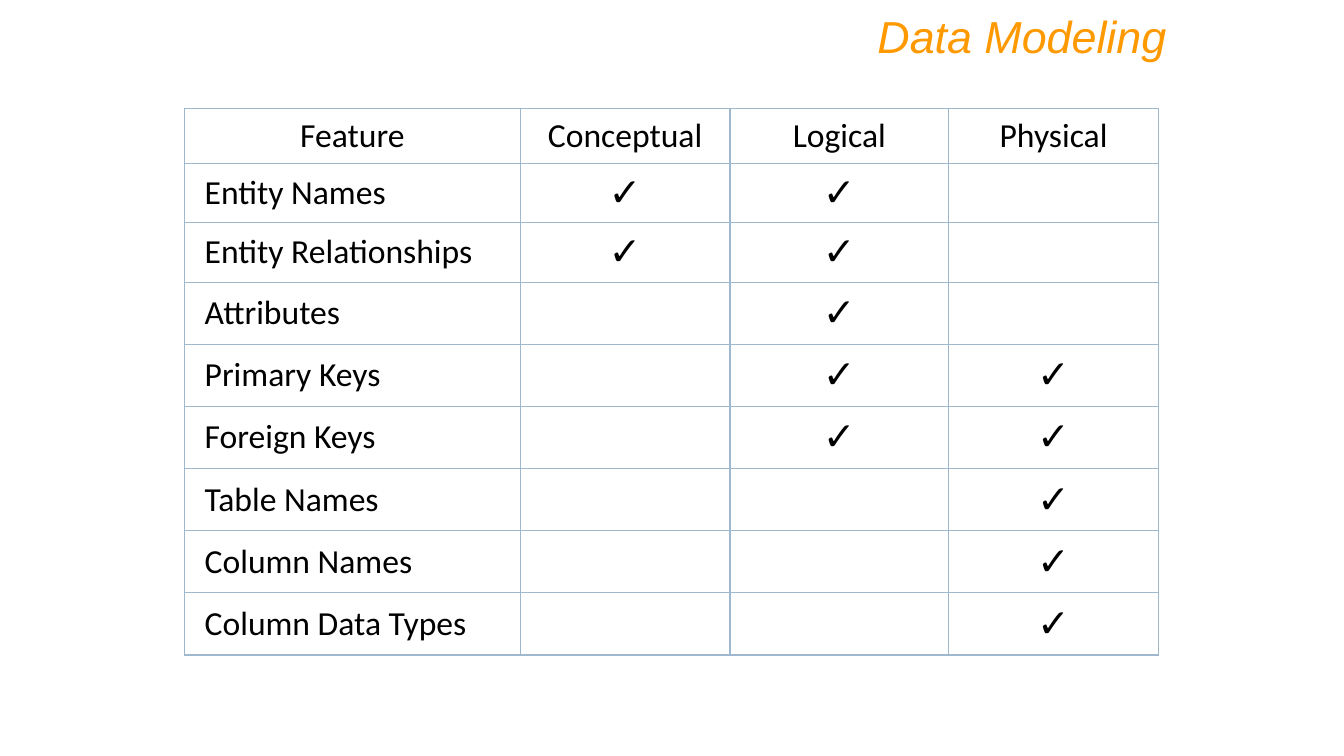
from lxml.etree import SubElement
from pptx import Presentation
from pptx.dml.color import RGBColor
from pptx.enum.text import MSO_ANCHOR, PP_ALIGN
from pptx.oxml.ns import qn
from pptx.util import Inches, Pt

COLORS = {"title": "FF9900", "text": "000000", "border": "9FB8CD"}
CHECK = "✓"
MODELS = ["Conceptual", "Logical", "Physical"]
FEATURES = [
    ("Entity Names", "Conceptual Logical"),
    ("Entity Relationships", "Conceptual Logical"),
    ("Attributes", "Logical"),
    ("Primary Keys", "Logical Physical"),
    ("Foreign Keys", "Logical Physical"),
    ("Table Names", "Physical"),
    ("Column Names", "Physical"),
    ("Column Data Types", "Physical"),
]
COLUMN_WIDTHS = [3.33, 2.08, 2.17, 2.08]
ROW_HEIGHTS = [0.54, 0.59, 0.59] + [3.7 / 6] * 6


def add_span(para, text, font_name, size, color):
    span = para.add_run()
    span.text = text
    span.font.name = font_name
    span.font.size = Pt(size)
    span.font.color.rgb = RGBColor.from_string(COLORS[color])
    return span


def add_borders(cell):
    properties = cell._tc.get_or_add_tcPr()
    for side in ("a:lnL", "a:lnR", "a:lnT", "a:lnB"):
        line = SubElement(properties, qn(side), w=str(Pt(1)))
        fill = SubElement(line, qn("a:solidFill"))
        SubElement(fill, qn("a:srgbClr"), val=COLORS["border"])


deck = Presentation()
deck.slide_width = Inches(13.33)
deck.slide_height = Inches(7.5)
page = deck.slides.add_slide(deck.slide_layouts[6])

# Feature table
rows = [["Feature"] + MODELS]
for feature, models in FEATURES:
    rows.append([feature] + [CHECK if model in models else "" for model in MODELS])

table = page.shapes.add_table(
    len(rows), len(COLUMN_WIDTHS),
    Inches(1.83), Inches(1.08), Inches(sum(COLUMN_WIDTHS)), Inches(sum(ROW_HEIGHTS)),
).table
table.first_row = False
table.horz_banding = False
for column, width in zip(table.columns, COLUMN_WIDTHS):
    column.width = Inches(width)
for row, height in zip(table.rows, ROW_HEIGHTS):
    row.height = Inches(height)

for row_index, texts in enumerate(rows):
    for column_index, text in enumerate(texts):
        cell = table.cell(row_index, column_index)
        add_borders(cell)
        cell.fill.background()
        cell.vertical_anchor = MSO_ANCHOR.MIDDLE
        cell.margin_left = cell.margin_right = Inches(0.01)
        cell.margin_top = cell.margin_bottom = Inches(0.01)
        if not text:
            continue
        para = cell.text_frame.paragraphs[0]
        if row_index > 0 and column_index == 0:
            para.alignment = PP_ALIGN.LEFT
            para._p.get_or_add_pPr().set("indent", str(Inches(0.19)))
        else:
            para.alignment = PP_ALIGN.CENTER
        add_span(para, text, "Calibri", 28 if text == CHECK else 24, "text")

# Title
box = page.shapes.add_textbox(Inches(1.67), Inches(0), Inches(10), Inches(0.77))
box.text_frame.word_wrap = True
box.text_frame.margin_top = Inches(0.09)
para = box.text_frame.paragraphs[0]
para.alignment = PP_ALIGN.RIGHT
add_span(para, "Data Modeling", "Arial", 32, "title").font.italic = True

deck.save("out.pptx")
